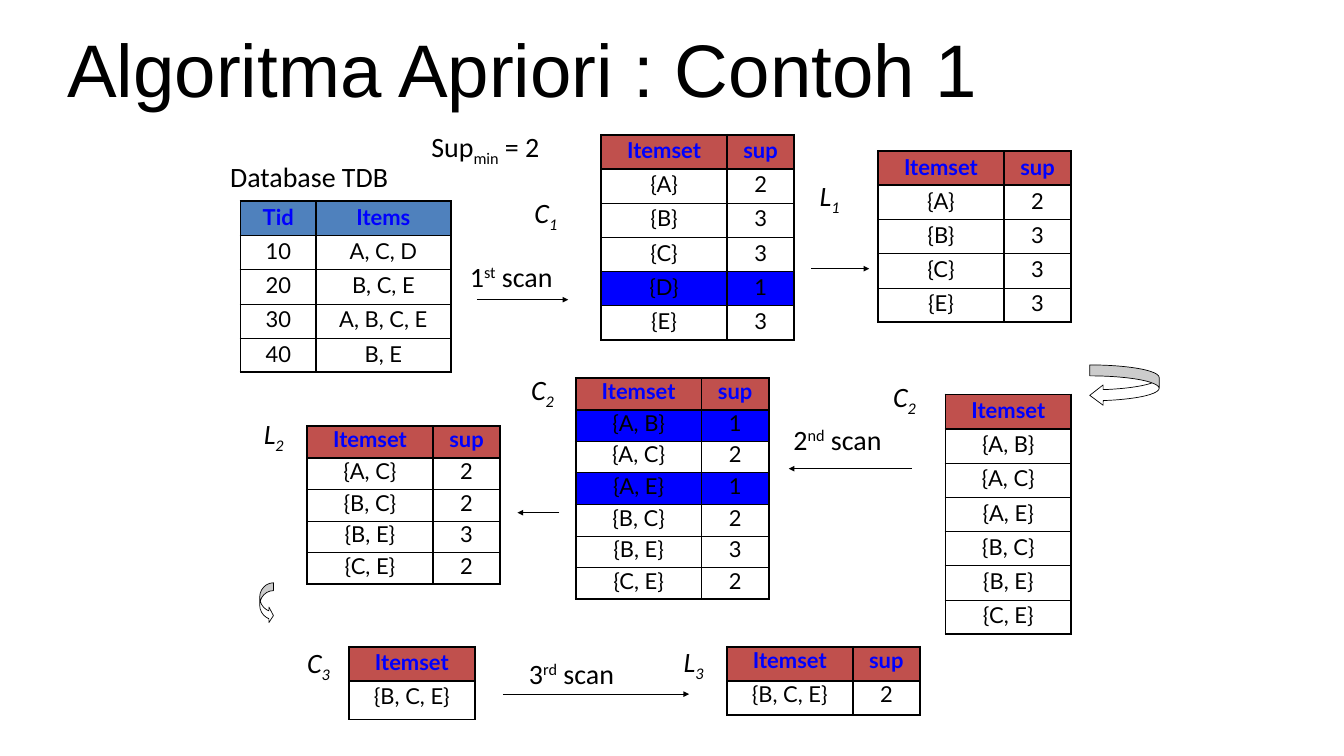
from lxml import etree
from pptx import Presentation, util as u
from pptx.dml.color import RGBColor
from pptx.enum import shapes, text
from pptx.oxml.ns import qn

HUES = {"ink": "000000", "paper": "FFFFFF", "blue": "0000FF",
        "steel": "4F81BD", "red": "C0504D"}
THICK, THIN = 2.25, 1
PAIR, SOLE = (1.83, 0.98), (1.83,)
HEAD = ("Itemset", "sup")


def hue(name):
    return RGBColor.from_string(HUES[name])


def style(run, size, face="Calibri", color="ink", bold=False, italic=False):
    font = run.font
    font.size, font.name = u.Pt(size), face
    font.bold, font.italic = bold, italic
    font.color.rgb = hue(color)


def add_title(slide, words):
    box = slide.shapes.add_textbox(*map(u.Inches, (0.98, 0.33, 17.6, 1.31)))
    frame = box.text_frame
    frame.text = words
    frame.word_wrap = True
    frame.vertical_anchor = text.MSO_ANCHOR.MIDDLE
    frame.margin_left = frame.margin_right = 0
    frame.margin_top = frame.margin_bottom = 0
    style(frame.paragraphs[0].runs[0], 78, "Arial")


def add_label(slide, x, y, width, parts, italic=False, wrap=False):
    """Write a label; each part is its words and its baseline shift."""
    box = slide.shapes.add_textbox(*map(u.Inches, (x, y, width, 0.59)))
    frame = box.text_frame
    frame.word_wrap = wrap
    frame.auto_size = text.MSO_AUTO_SIZE.SHAPE_TO_FIT_TEXT
    if not wrap:
        frame.vertical_anchor = text.MSO_ANCHOR.MIDDLE
    for words, shift in parts:
        run = frame.paragraphs[0].add_run()
        run.text = words
        style(run, 29.3, italic=italic)
        if shift:
            run._r.get_or_add_rPr().set("baseline", str(shift * 1000))


def add_arrow(slide, start, end, y):
    line = slide.shapes.add_connector(
        shapes.MSO_CONNECTOR.STRAIGHT, *map(u.Inches, (start, y, end, y)))
    line.line.width = u.Pt(0.75)
    line.line.color.rgb = hue("ink")
    etree.SubElement(line.line._get_or_add_ln(), qn("a:tailEnd"), type="triangle")
    etree.SubElement(line._element.spPr, qn("a:effectLst"))


def add_curve(slide, kind, place, bends):
    curve = slide.shapes.add_shape(kind, *map(u.Inches, place))
    curve.shadow.inherit = False
    curve.fill.solid()
    curve.fill.fore_color.rgb = hue("paper")
    curve.line.color.rgb = hue("ink")
    curve.line.width = u.Pt(0.75)
    for i, bend in enumerate(bends):
        curve.adjustments[i] = bend


def add_borders(cell, top, bottom):
    props = cell._tc.get_or_add_tcPr()
    sides = (("lnL", THICK), ("lnR", THICK), ("lnT", top), ("lnB", bottom))
    for i, (side, width) in enumerate(sides):
        line = etree.Element(qn("a:" + side), w=str(u.Pt(width)))
        fill = etree.SubElement(line, qn("a:solidFill"))
        etree.SubElement(fill, qn("a:srgbClr"), val=HUES["ink"])
        props.insert(i, line)


def fill_cell(cell, words, back, head, spacing):
    cell.margin_left = cell.margin_right = u.Inches(0.15)
    cell.margin_top = cell.margin_bottom = u.Inches(0.07)
    cell.text_frame.text = words
    para = cell.text_frame.paragraphs[0]
    para.alignment = text.PP_ALIGN.CENTER
    para.line_spacing = spacing
    style(para.runs[0], 23, "Lato", "blue" if head else "ink", bold=head)
    if back:
        cell.fill.solid()
        cell.fill.fore_color.rgb = hue(back)
    else:
        cell.fill.background()


def add_grid(slide, x, y, height, cols, rows, spacing=0.9, top="red", marked=()):
    """Draw a table; marked lists the rows that are pruned."""
    last = len(rows) - 1
    frame = slide.shapes.add_table(
        len(rows), len(cols), *map(u.Inches, (x, y, sum(cols), height)))
    grid = frame.table
    grid.first_row = grid.horz_banding = False
    for col, width in zip(grid.columns, cols):
        col.width = u.Inches(width)
    step = min(height / len(rows), 0.5)
    for r, row in enumerate(rows):
        grid.rows[r].height = u.Inches(step if r < last else height - step * last)
        back = top if r == 0 else "blue" if r in marked else None
        for c, words in enumerate(row):
            cell = grid.cell(r, c)
            fill_cell(cell, words, back, r == 0, spacing)
            add_borders(cell, THICK if r < 2 else THIN,
                        THICK if r in (0, last) else THIN)


def main():
    deck = Presentation()
    deck.slide_width, deck.slide_height = u.Inches(19.56), u.Inches(11)
    slide = deck.slides.add_slide(deck.slide_layouts[6])

    # Title and captions
    add_title(slide, "Algoritma Apriori : Contoh 1")
    add_label(slide, 3.25, 2.27, 2.52, [("Database TDB", 0)])
    add_label(slide, 6.18, 1.83, 2.81,
              [("Sup", 0), ("min", -25), (" = 2", 0)], wrap=True)

    # Names of candidate (C) and frequent (L) sets
    for name, x, y in (("C1", 7.68, 2.83), ("L1", 11.83, 2.58),
                       ("L2", 3.74, 6.05), ("C2", 7.63, 5.41),
                       ("C2", 12.9, 5.5), ("C3", 4.37, 9.38),
                       ("L3", 9.85, 9.36)):
        width = 0.56 if name[0] == "C" else 0.51
        add_label(slide, x, y, width, [(name[0], 0), (name[1], -25)], italic=True)

    # Scans
    for num, end, x, y, width in (("1", "st", 6.74, 3.72, 1.44),
                                  ("2", "nd", 11.45, 6.09, 1.53),
                                  ("3", "rd", 7.6, 9.5, 1.48)):
        add_label(slide, x, y, width, [(num, 0), (end, 30), (" scan", 0)])

    # Arrows between steps
    for start, end, y in ((6.94, 8.27, 4.36), (13.27, 11.48, 6.82),
                          (7.32, 10.03, 10.1), (11.81, 12.65, 3.91),
                          (8.14, 7.53, 7.46)):
        add_arrow(slide, start, end, y)
    kinds = shapes.MSO_SHAPE
    add_curve(slide, kinds.CURVED_LEFT_ARROW, (15.86, 5.31, 1.01, 0.59),
              (0.27, 0.55, 0.33))
    add_curve(slide, kinds.CURVED_RIGHT_ARROW, (3.78, 8.48, 0.2, 0.59),
              (0.57, 1.13, 0.33))

    # Transactions
    add_grid(slide, 3.5, 2.93, 2.49, (1.1, 1.96),
             [("Tid", "Items"), ("10", "A, C, D"), ("20", "B, C, E"),
              ("30", "A, B, C, E"), ("40", "B, E")], top="steel")

    # First pass: C1 and L1
    ones = [HEAD, ("{A}", "2"), ("{B}", "3"), ("{C}", "3"),
            ("{D}", "1"), ("{E}", "3")]
    add_grid(slide, 8.75, 1.96, 2.99, PAIR, ones, marked=(4,))
    add_grid(slide, 12.78, 2.2, 2.49, PAIR, ones[:4] + ones[5:])

    # Second pass: C2 before and after counting, then L2
    twos = [HEAD, ("{A, B}", "1"), ("{A, C}", "2"), ("{A, E}", "1"),
            ("{B, C}", "2"), ("{B, E}", "3"), ("{C, E}", "2")]
    kept = [row for row in twos if row[1] != "1"]
    add_grid(slide, 13.76, 5.74, 3.49, SOLE, [row[:1] for row in twos])
    add_grid(slide, 8.38, 5.5, 3.22, PAIR, twos, 0.8, marked=(1, 3))
    add_grid(slide, 4.47, 6.2, 2.3, PAIR, kept, 0.8)

    # Third pass: C3 and L3
    threes = [HEAD, ("{B, C, E}", "2")]
    add_grid(slide, 5.08, 9.41, 1.06, SOLE, [row[:1] for row in threes])
    add_grid(slide, 10.58, 9.41, 0.99, PAIR, threes, 0.8)

    deck.save("out.pptx")


if __name__ == "__main__":
    main()
